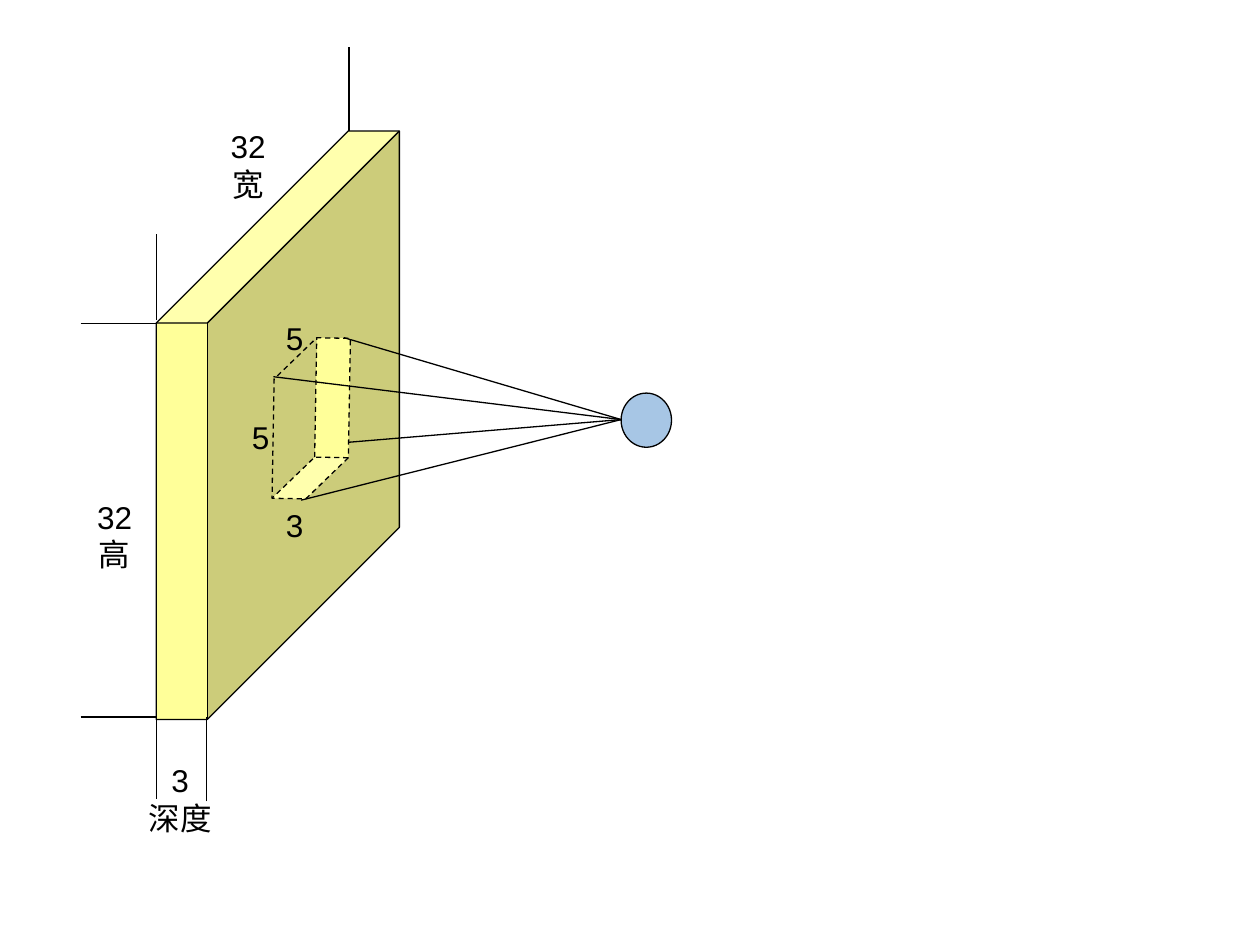
"""Build a slide showing a convolution filter over a 32x32x3 input volume."""
from lxml import etree
from pptx import Presentation
from pptx import util as u
from pptx.dml.color import RGBColor
from pptx.enum import dml, shapes, text
from pptx.oxml.ns import qn


def color(target, value):
    target.rgb = RGBColor.from_string(value)


prs = Presentation()
prs.slide_width, prs.slide_height = u.Inches(10), u.Inches(7.5)
s = prs.slides.add_slide(prs.slide_layouts[6])

CUBE, OVAL = shapes.MSO_SHAPE.CUBE, shapes.MSO_SHAPE.OVAL
solids = [
    (CUBE, (1.24, 1.04, 1.93, 4.67), "FFFF99", 0.79, 0, None),
    (CUBE, (2.17, 2.68, 0.6, 1.28), "FFFF99", 0.554, 181, dml.MSO_LINE.DASH),
    (OVAL, (4.93, 3.12, 0.4, 0.43), "A7C6E5", None, 0, None),
]
for kind, box, fill, depth, angle, dash in solids:
    sp = s.shapes.add_shape(kind, *map(u.Inches, box))
    sp.shadow.inherit = False
    sp.rotation = angle
    if depth:
        sp.adjustments[0] = depth
    sp.fill.solid()
    color(sp.fill.fore_color, fill)
    color(sp.line.color, "000000")
    sp.line.width = u.Pt(0.75)
    if dash:
        sp.line.dash_style = dash

neuron = (4.93, 3.33)
corners = [(2.73, 2.68), (2.39, 3.97), (2.77, 3.51), (2.17, 2.99)]
rays = [corner + neuron for corner in corners]
guides = [
    (1.24, 2.54, 1.24, 1.86),
    (2.77, 1.04, 2.77, 0.37),
    (0.64, 2.57, 1.24, 2.57),
    (0.64, 5.69, 1.24, 5.69),
    (1.24, 6.34, 1.24, 5.66),
    (1.64, 6.36, 1.64, 5.69),
]
for ends in rays + guides:
    line = s.shapes.add_connector(shapes.MSO_CONNECTOR.STRAIGHT, *map(u.Inches, ends))
    color(line.line.color, "000000")
    line.line.width = u.Pt(0.75)
    etree.SubElement(line._element.spPr, qn("a:effectLst"))

LEFT, CENTER = text.PP_ALIGN.LEFT, text.PP_ALIGN.CENTER
labels = [
    ((2.17, 2.48, 0.34, 0.4), LEFT, ["5"]),
    ((1.9, 3.27, 0.34, 0.4), LEFT, ["5"]),
    ((2.17, 3.97, 0.34, 0.4), LEFT, ["3"]),
    ((0.67, 3.9, 0.48, 0.7), CENTER, ["32", "高"]),
    ((1.73, 0.96, 0.48, 0.7), CENTER, ["32", "宽"]),
    ((1.08, 5.99, 0.7, 0.7), CENTER, ["3", "深度"]),
]
for box, align, lines in labels:
    tf = s.shapes.add_textbox(*map(u.Inches, box)).text_frame
    tf.word_wrap = False
    tf.auto_size = text.MSO_AUTO_SIZE.SHAPE_TO_FIT_TEXT
    for i, words in enumerate(lines):
        p = tf.add_paragraph() if i else tf.paragraphs[0]
        p.alignment = align
        r = p.add_run()
        r.text = words
        r.font.name = "Arial"
        r.font.size = u.Pt(18)
        color(r.font.color, "000000")

prs.save("out.pptx")
